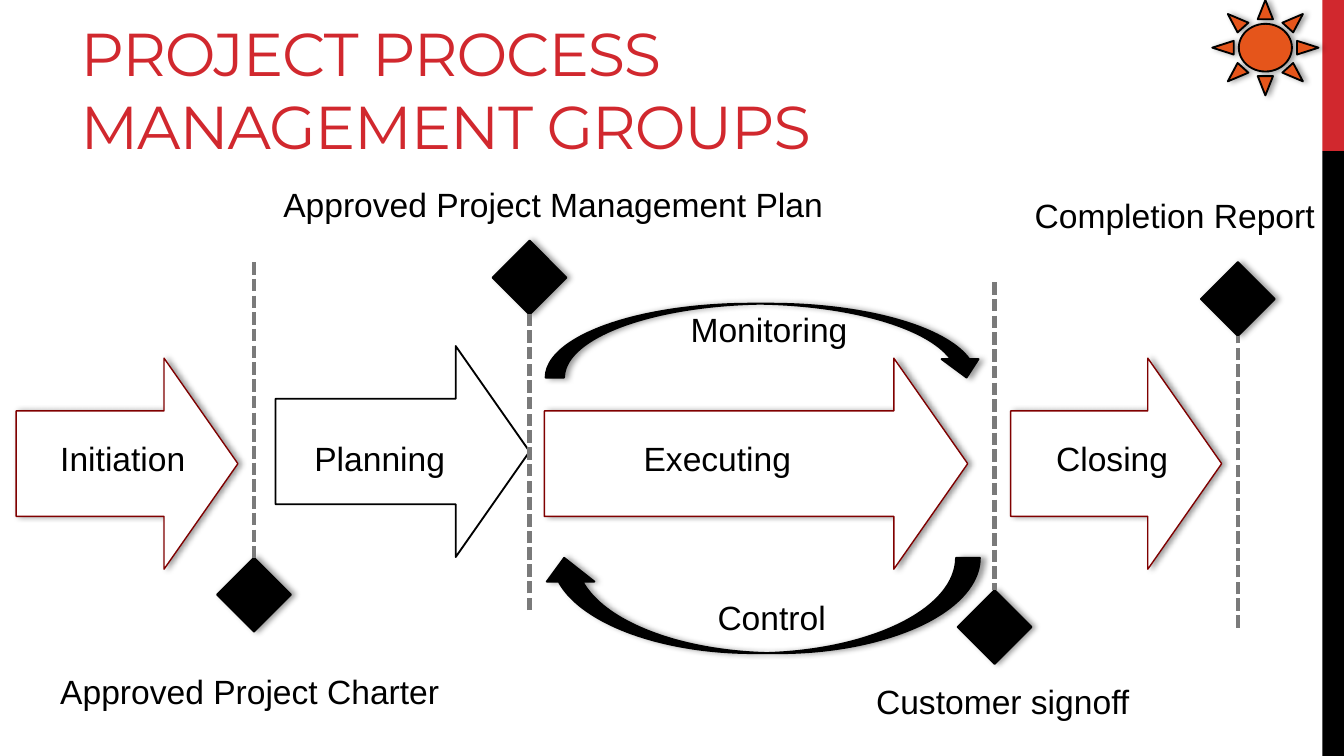
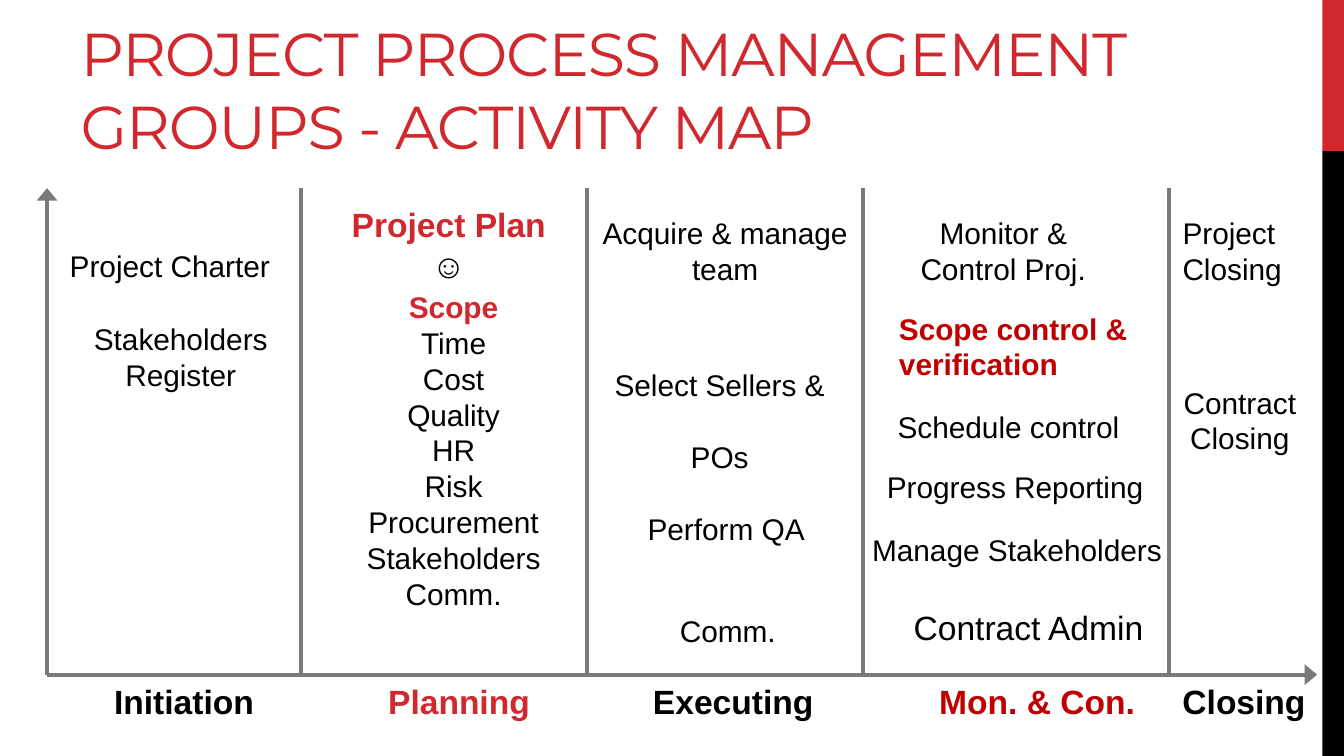
from lxml.etree import SubElement as Sub
from pptx import Presentation
from pptx.dml.color import RGBColor
from pptx.enum.dml import MSO_LINE as Dash
from pptx.enum.shapes import MSO_CONNECTOR as Wire, MSO_SHAPE as Form
from pptx.enum.text import MSO_ANCHOR as Anchor, MSO_AUTO_SIZE as Fit, PP_ALIGN as Align
from pptx.oxml.ns import qn
from pptx.util import Inches, Pt

RED, DARK, WINE = "D1282E", "C00000", "800000"
ORANGE, GRAY, BLACK, WHITE = "E5551B", "7A7A7A", "000000", "FFFFFF"
WIDE = 10
HIGH = WIDE * 9 / 16
BAND, SPLIT = 0.16, HIGH / 5
GEM = 0.55
ARROW = 1.57
TOP, BASE, ORIGIN = 1.4, 5.02, 0.35


def hue(code):
    return RGBColor.from_string(code)


def inches(*sizes):
    return [Inches(size) for size in sizes]


def style(run, size, tone, bold=False, face="Arial"):
    font = run.font
    font.name, font.size, font.bold = face, Pt(size), bold
    font.color.rgb = hue(tone)


def shade(shape):
    """Give the shape a soft shadow falling to the right."""
    effects = shape.element.spPr.find(qn("a:effectLst"))
    outer = Sub(effects, qn("a:outerShdw"), blurRad="40000", dist="23000",
                dir="0", rotWithShape="0")
    color = Sub(outer, qn("a:srgbClr"), val=BLACK)
    Sub(color, qn("a:alpha"), val="40000")


def draw(shapes, form, box, fill=None, line=None, width=1, turn=0, shadow=True):
    shape = shapes.add_shape(form, *inches(*box))
    shape.shadow.inherit = False
    shape.rotation = turn
    if fill:
        shape.fill.solid()
        shape.fill.fore_color.rgb = hue(fill)
    else:
        shape.fill.background()
    if line:
        shape.line.color.rgb = hue(line)
        shape.line.width = Pt(width)
    else:
        shape.line.fill.background()
    if shadow:
        shade(shape)
    return shape


def rule(shapes, start, end, dash=None, arrow=False):
    wire = shapes.add_connector(Wire.STRAIGHT, *inches(*start, *end))
    wire.line.color.rgb = hue(GRAY)
    wire.line.width = Pt(2.25)
    if dash:
        wire.line.dash_style = dash
    props = wire.element.spPr
    if arrow:
        Sub(props.find(qn("a:ln")), qn("a:tailEnd"), type="triangle", w="lg", len="med")
    Sub(props, qn("a:effectLst"))


def label(slide, x, y, width, words, size=16, tone=BLACK, bold=False,
          align=None, lead=None, gap=0):
    """Add a text box; lead is the bold colour of its first line."""
    lines = words.split("\n")
    height = 0.1 + len(lines) * size * 1.2 / 72
    box = slide.shapes.add_textbox(*inches(x, y, width, height))
    frame = box.text_frame
    frame.text = words
    frame.word_wrap = False
    frame.auto_size = Fit.SHAPE_TO_FIT_TEXT
    for spot, para in enumerate(frame.paragraphs):
        para.alignment = align
        first = lead and spot == 0
        if gap and spot:
            para.space_before = Pt(gap)
        for run in para.runs:
            style(run, size, lead if first else tone, bool(first) or bold)


def head(slide, words, width):
    title = slide.shapes.title
    title.left, title.top, title.width, title.height = inches(0.5, 0.13, width, 1.12)
    frame = title.text_frame
    frame.text = words
    frame.word_wrap = True
    frame.auto_size = Fit.NONE
    frame.vertical_anchor = Anchor.BOTTOM
    para = frame.paragraphs[0]
    para.alignment = Align.LEFT
    for run in para.runs:
        style(run, 32.4, RED, face="Montserrat")
        run.font._element.set("spc", "-60")


def frame_layout(layout, slide):
    """Put the side bands on the layout that all slides share."""
    for y, height, tone in ((0, SPLIT, RED), (SPLIT, HIGH - SPLIT, BLACK)):
        band = draw(slide.shapes, Form.RECTANGLE, (WIDE - BAND, y, BAND, height),
                    tone, shadow=False)
        layout.shapes.element.append(band.element)


def phase(slide, left, length, mid=3.45, fill=WHITE, line=WINE, width=0.75, shadow=True):
    box = (left + (length - ARROW) / 2, mid - length / 2, ARROW, length)
    arrow = draw(slide.shapes, Form.DOWN_ARROW, box, fill, line, width, 270, shadow)
    arrow.adjustments[0], arrow.adjustments[1] = 0.5, 0.35


def loop(slide, box, turn=0):
    arc = draw(slide.shapes, Form.CURVED_UP_ARROW, box, BLACK, BLACK, turn=turn)
    arc.element.spPr.find(qn("a:xfrm")).set("flipV", "1")


def gate(slide, x, y, end, turn=0):
    """Group a diamond with the dashed line that runs from it to end."""
    parts = slide.shapes.add_group_shape().shapes
    draw(parts, Form.FLOWCHART_DECISION, (x - GEM / 2, y, GEM, GEM), BLACK, BLACK, turn=turn)
    edge = y if end < y else y + GEM
    rule(parts, (x, end), (x, edge), Dash.SQUARE_DOT)


def flow(slide):
    head(slide, "PROJECT PROCESS MANAGEMENT GROUPS", 7.65)
    phase(slide, 2.05, 1.89, 3.36, None, BLACK, 1, False)
    for left, length in ((4.05, 3.15), (7.52, 1.57), (0.12, 1.65)):
        phase(slide, left, length)
    for x, width, name in ((0.35, 1.14, "Initiation"), (2.24, 1.18, "Planning"),
                           (4.69, 1.31, "Executing"), (7.76, 1.04, "Closing")):
        label(slide, x, 3.21, width, name, 18)
    loop(slide, (4.06, 2.26, 3.27, 0.55))
    label(slide, 5.04, 2.25, 1.38, "Monitoring", 18)
    loop(slide, (4.02, 4.15, 3.27, 0.71), 180)
    label(slide, 5.24, 4.39, 1.02, "Control", 18)
    gates = (
        ((1.89, 4.15, 1.95), (0.35, 4.94, 3.06, "Approved Project Charter")),
        ((3.94, 1.79, 4.54, 180), (2.01, 1.32, 4.27, "Approved Project Management Plan")),
        ((7.4, 4.39, 2.1), (6.42, 5.02, 2.12, "Customer signoff")),
        ((9.21, 1.95, 4.67, 180), (7.6, 1.4, 2.31, "Completion Report")),
    )
    for mark, note in gates:
        gate(slide, *mark)
        label(slide, *note, size=18)
    draw(slide.shapes, Form.SUN, (9.02, 0, 0.79, 0.71), ORANGE, BLACK)


def chart_map(slide):
    head(slide, "PROJECT PROCESS MANAGEMENT GROUPS - ACTIVITY MAP", 9.15)
    for end in ((9.8, BASE), (ORIGIN, TOP)):
        rule(slide.shapes, (ORIGIN, BASE), end, arrow=True)
    for x in (2.24, 4.37, 6.42, 8.7):
        rule(slide.shapes, (x, TOP), (x, BASE))
    for x, width, name, tone in (
            (0.75, 1.25, "Initiation", BLACK), (2.79, 1.27, "Planning", RED),
            (4.76, 1.41, "Executing", BLACK), (6.89, 1.67, "Mon. & Con.", DARK),
            (8.7, 1.13, "Closing", BLACK)):
        label(slide, x, BASE, width, name, 18, tone, True)

    tasks = (
        (0.42, 1.79, 1.71, "Project Charter"),
        (8.7, 1.55, 0.95, "Project\nClosing"),
        (4.72, 3.75, 1.38, "Perform QA"),
        (4.96, 4.51, 0.92, "Comm."),
        (6.58, 2.99, 1.87, "Schedule control"),
        (6.5, 3.44, 2.14, "Progress Reporting"),
        (6.39, 3.91, 2.38, "Manage Stakeholders"),
    )
    for task in tasks:
        label(slide, *task)
    centred = (
        (0.59, 2.34, 1.51, "Stakeholders\nRegister"),
        (8.7, 2.81, 1.05, "Contract\nClosing"),
        (4.37, 1.55, 2.05, "Acquire & manage\nteam"),
        (6.74, 1.55, 1.45, "Monitor &\nControl Proj."),
    )
    for task in centred:
        label(slide, *task, align=Align.CENTER)
    label(slide, 4.46, 2.68, 1.79, "Select Sellers &\nPOs", align=Align.CENTER, gap=19.2)
    label(slide, 2.51, 1.47, 1.66, "Project Plan\n☺", 18, align=Align.CENTER, lead=RED)
    areas = ("Scope", "Time", "Cost", "Quality", "HR", "Risk",
             "Procurement", "Stakeholders", "Comm.")
    label(slide, 2.62, 2.1, 1.51, "\n".join(areas), align=Align.CENTER, lead=RED)
    label(slide, 6.59, 2.26, 1.98, "Scope control &\nverification", tone=DARK, bold=True)
    label(slide, 6.7, 4.47, 1.93, "Contract Admin", 18)


def main():
    deck = Presentation()
    deck.slide_width, deck.slide_height = inches(WIDE, HIGH)
    layout = deck.slide_layouts[5]
    first, second = [deck.slides.add_slide(layout) for _ in range(2)]
    frame_layout(layout, first)
    flow(first)
    chart_map(second)
    deck.save("out.pptx")


if __name__ == "__main__":
    main()
